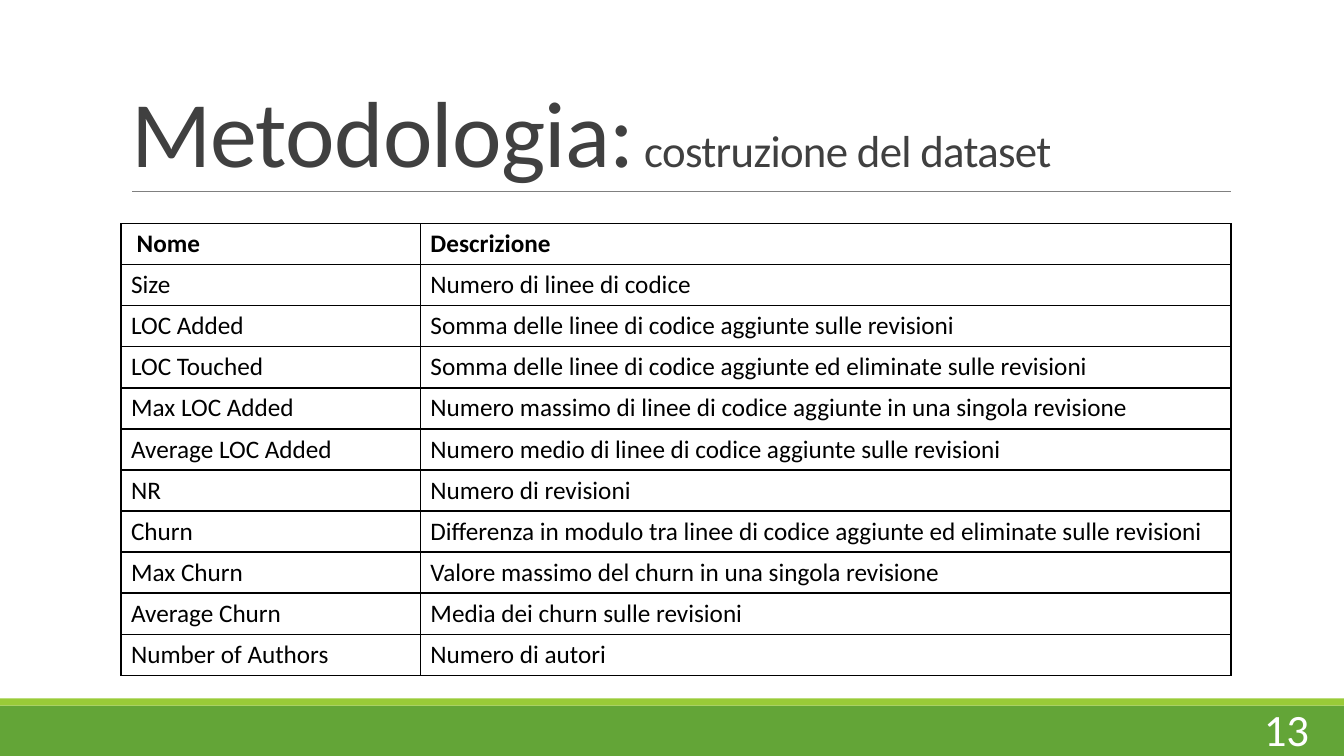
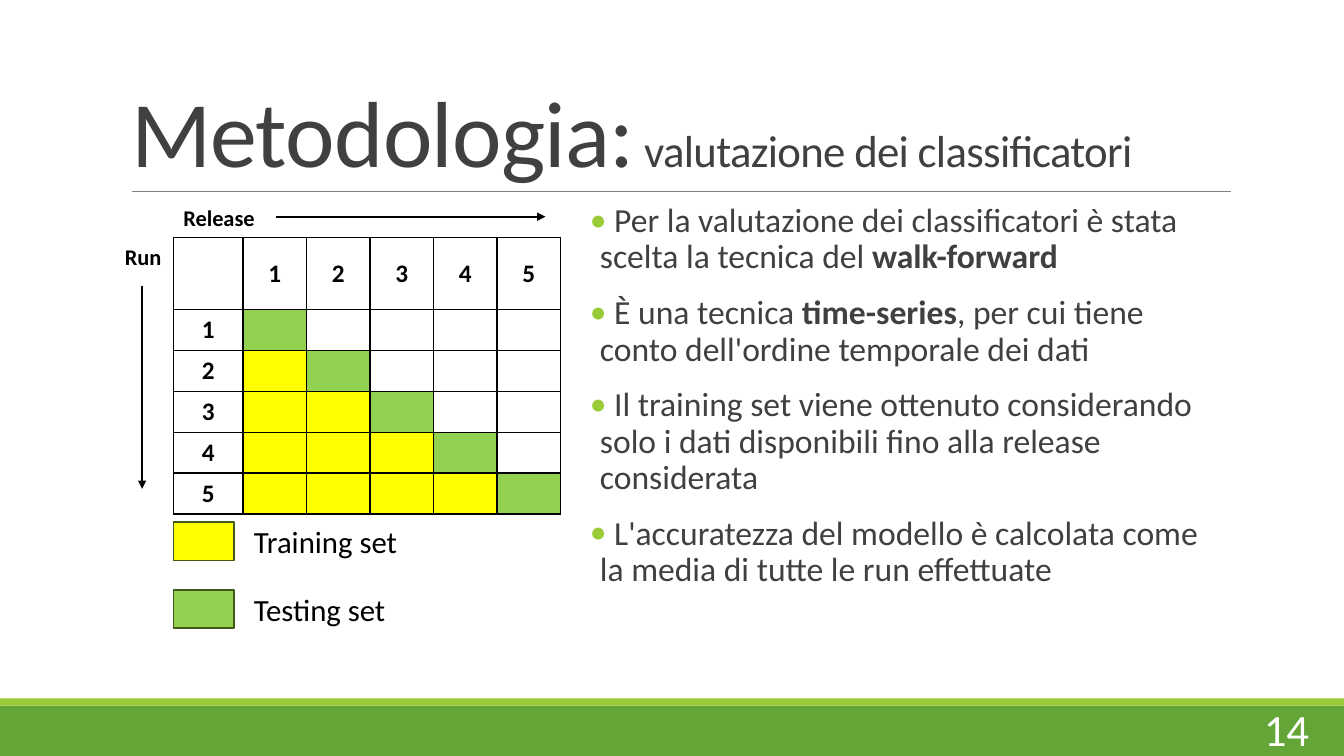
from dataclasses import dataclass

from lxml import etree
from pptx import Presentation
from pptx.dml.color import RGBColor
from pptx.enum.shapes import MSO_CONNECTOR, MSO_SHAPE
from pptx.enum.text import MSO_ANCHOR as Anchor, MSO_AUTO_SIZE, PP_ALIGN as Align
from pptx.oxml import parse_xml
from pptx.oxml.ns import nsdecls, qn
from pptx.util import Inches, Pt


@dataclass(frozen=True)
class Theme:
    font: str = "Calibri"
    band: str = "63A537"
    accent: str = "99CB38"
    rule: str = "808080"
    body: str = "404040"
    ink: str = "000000"
    paper: str = "FFFFFF"
    training: str = "FFFF00"
    testing: str = "92D050"
    swatch_edge: str = "435919"
    title_size: float = 67
    subtitle_size: float = 32
    bullet_size: float = 24
    legend_size: float = 22
    cell_size: float = 18
    axis_size: float = 16


@dataclass(frozen=True)
class Box:
    left: float
    top: float
    width: float
    height: float

    def inches(self):
        return tuple(Inches(v) for v in (self.left, self.top, self.width, self.height))


THEME = Theme()
SLIDE = Box(0, 0, 13.33, 7.5)
TITLE = Box(1.2, 0.31, 11, 1.59)
PAGE_NUMBER = Box(12.19, 6.94, 1.14, 0.57)
TITLE_ONLY, TITLE_AND_CONTENT = 5, 1

FEATURES = [
    (" Nome", "Descrizione"),
    ("Size", "Numero di linee di codice"),
    ("LOC Added", "Somma delle linee di codice aggiunte sulle revisioni"),
    ("LOC Touched", "Somma delle linee di codice aggiunte ed eliminate sulle revisioni"),
    ("Max LOC Added", "Numero massimo di linee di codice aggiunte in una singola revisione"),
    ("Average LOC Added", "Numero medio di linee di codice aggiunte sulle revisioni"),
    ("NR", "Numero di revisioni"),
    ("Churn", "Differenza in modulo tra linee di codice aggiunte ed eliminate sulle revisioni"),
    ("Max Churn", "Valore massimo del churn in una singola revisione"),
    ("Average Churn", "Media dei churn sulle revisioni"),
    ("Number of Authors", "Numero di autori"),
]

# Each point is a list of (text, bold) pieces.
WALK_FORWARD = [
    [(" Per la valutazione dei classificatori è stata scelta la tecnica del ", False),
     ("walk-forward", True)],
    [(" È una tecnica", False), (" time-series", True),
     (", per cui tiene conto dell'ordine temporale dei dati", False)],
    [(" Il training set viene ottenuto considerando solo i dati disponibili "
      "fino alla release considerata", False)],
    [(" L'accuratezza del modello è calcolata come la media di tutte le run effettuate", False)],
]


def rgb(color):
    return RGBColor.from_string(color)


def style_font(font, size, color, bold=None):
    font.name, font.size, font.bold = THEME.font, Pt(size), bold
    font.color.rgb = rgb(color)


def add_rect(slide, box, fill, edge=None):
    rect = slide.shapes.add_shape(MSO_SHAPE.RECTANGLE, *box.inches())
    rect.shadow.inherit = False
    rect.fill.solid()
    rect.fill.fore_color.rgb = rgb(fill)
    if edge:
        rect.line.color.rgb = rgb(edge)
        rect.line.width = Pt(1.25)
    else:
        rect.line.fill.background()
    return rect


def add_line(slide, start, end, color, width, arrow=False):
    points = [Inches(v) for v in (*start, *end)]
    line = slide.shapes.add_connector(MSO_CONNECTOR.STRAIGHT, *points)
    line.line.color.rgb = rgb(color)
    line.line.width = Pt(width)
    properties = line.element.spPr
    if arrow:
        etree.SubElement(properties.find(qn("a:ln")), qn("a:tailEnd"), type="triangle")
    etree.SubElement(properties, qn("a:effectLst"))
    return line


def add_label(slide, box, text, size, color=THEME.ink, bold=None, align=Align.LEFT):
    frame = slide.shapes.add_textbox(*box.inches()).text_frame
    frame.word_wrap = True
    frame.vertical_anchor = Anchor.MIDDLE
    paragraph = frame.paragraphs[0]
    paragraph.text, paragraph.alignment = text, align
    style_font(paragraph.font, size, color, bold)


def move_to_master(shapes, master):
    """Make the given shapes part of the master, behind its placeholders."""
    tree = master.shapes.element if hasattr(master.shapes, "element") else master.element.cSld.spTree
    for offset, shape in enumerate(shapes):
        tree.insert(2 + offset, shape.element)


def build_master(prs, slide):
    """Draw the bands and the title rule on the slide, then hand them to the master."""
    bands = [add_rect(slide, Box(0, 7, SLIDE.width, 0.5), THEME.band),
             add_rect(slide, Box(0, 6.93, SLIDE.width, 0.07), THEME.accent)]
    rule = add_line(slide, (1.31, 1.9), (12.21, 1.9), THEME.rule, 0.5)
    move_to_master([*bands, rule], prs.slide_master)


def place(placeholder, box):
    placeholder.left, placeholder.top, placeholder.width, placeholder.height = box.inches()
    frame = placeholder.text_frame
    frame.auto_size, frame.word_wrap = MSO_AUTO_SIZE.NONE, True
    return frame


def add_page(prs, layout, number, subtitle):
    slide = prs.slides.add_slide(prs.slide_layouts[layout])
    frame = place(slide.shapes.title, TITLE)
    frame.vertical_anchor = Anchor.BOTTOM
    heading = frame.paragraphs[0]
    heading.alignment, heading.line_spacing = Align.LEFT, 0.85
    for text, size in (("Metodologia:", THEME.title_size),
                       (f" {subtitle}", THEME.subtitle_size)):
        run = heading.add_run()
        run.text = text
        style_font(run.font, size, THEME.body)
        run.font._element.set("spc", "-50")
    add_label(slide, PAGE_NUMBER, str(number), THEME.subtitle_size, THEME.paper,
              align=Align.CENTER)
    return slide


def set_borders(cell):
    properties = cell._tc.get_or_add_tcPr()
    for position, side in enumerate(("lnL", "lnR", "lnT", "lnB")):
        properties.insert(position, parse_xml(
            f'<a:{side} {nsdecls("a")} w="12700"><a:solidFill>'
            f'<a:srgbClr val="{THEME.ink}"/></a:solidFill></a:{side}>'))


def add_grid(slide, box, widths, heights):
    """Add a plain table with unfilled cells and thin borders."""
    table = slide.shapes.add_table(len(heights), len(widths), *box.inches()).table
    table.first_row = table.horz_banding = False
    for column, width in zip(table.columns, widths):
        column.width = Inches(width)
    for row, height in zip(table.rows, heights):
        row.height = Inches(height)
    for cell in table.iter_cells():
        cell.fill.background()
        set_borders(cell)
    return table


def write_cell(cell, text, bold, align=Align.LEFT, anchor=Anchor.TOP):
    cell.vertical_anchor = anchor
    paragraph = cell.text_frame.paragraphs[0]
    paragraph.text, paragraph.alignment = text, align
    style_font(paragraph.font, THEME.cell_size, THEME.ink, bold)


def add_feature_table(slide, box):
    name_width = 2.97
    rows = len(FEATURES)
    table = add_grid(slide, box, [name_width, box.width - name_width],
                     [box.height / rows] * rows)
    for r, feature in enumerate(FEATURES):
        for c, text in enumerate(feature):
            write_cell(table.cell(r, c), text, bold=r == 0)


def add_run_matrix(slide, box, steps=5):
    """Runs against releases: train on the earlier releases, test on the latest."""
    run_width, header_height = 0.69, 0.71
    table = add_grid(slide, box,
                     [run_width] + [(box.width - run_width) / steps] * steps,
                     [header_height] + [(box.height - header_height) / steps] * steps)
    for run in range(1, steps + 1):
        for header in (table.cell(0, run), table.cell(run, 0)):
            write_cell(header, str(run), True, Align.CENTER, Anchor.MIDDLE)
        for release in range(1, run + 1):
            fill = table.cell(run, release).fill
            fill.solid()
            fill.fore_color.rgb = rgb(THEME.testing if release == run else THEME.training)


def add_axes(slide, box):
    """Label the matrix in the box with an arrow above and one on its left."""
    add_label(slide, Box(box.left, box.top - 0.39, 1.03, 0.37), "Release",
              THEME.axis_size, bold=True)
    add_label(slide, Box(box.left - 0.58, box.top, 0.58, 0.37), "Run",
              THEME.axis_size, bold=True)
    above, beside = box.top - 0.21, box.left - 0.31
    add_line(slide, (box.left + 1.02, above), (box.left + 3.69, above),
             THEME.ink, 1.25, arrow=True)
    add_line(slide, (beside, box.top + 0.48), (beside, box.top + 2.49),
             THEME.ink, 1.25, arrow=True)


def add_legend(slide, box):
    swatch_width, swatch_height, label_height = 0.6, 0.38, 0.47
    entries = (("Training set", THEME.training), ("Testing set", THEME.testing))
    pitch = (box.height - swatch_height) / (len(entries) - 1)
    for i, (text, color) in enumerate(entries):
        top = box.top + i * pitch
        add_rect(slide, Box(box.left, top, swatch_width, swatch_height), color,
                 THEME.swatch_edge)
        add_label(slide, Box(box.left + 0.7, top - (label_height - swatch_height) / 2,
                             box.width - 0.7, label_height), text, THEME.legend_size)


def set_bullet(paragraph):
    properties = paragraph._p.get_or_add_pPr()
    properties.set("marL", str(Inches(0.1)))
    properties.set("indent", str(-Inches(0.1)))
    color = etree.SubElement(properties, qn("a:buClr"))
    etree.SubElement(color, qn("a:srgbClr"), val=THEME.accent)
    etree.SubElement(properties, qn("a:buFont"), typeface=THEME.font)
    etree.SubElement(properties, qn("a:buChar"), char="•")


def fill_bullets(placeholder, box, points):
    frame = place(placeholder, box)
    frame.margin_left = frame.margin_right = 0
    for i, pieces in enumerate(points):
        paragraph = frame.add_paragraph() if i else frame.paragraphs[0]
        set_bullet(paragraph)
        paragraph.line_spacing = 0.9
        paragraph.space_before, paragraph.space_after = Pt(12 if i else 0), Pt(2)
        style_font(paragraph.font, THEME.bullet_size, THEME.body)
        for text, bold in pieces:
            run = paragraph.add_run()
            run.text = text
            if bold:
                run.font.bold = True


def main():
    prs = Presentation()
    prs.slide_width, prs.slide_height = Inches(SLIDE.width), Inches(SLIDE.height)

    dataset = add_page(prs, TITLE_ONLY, 13, "costruzione del dataset")
    build_master(prs, dataset)
    add_feature_table(dataset, Box(1.2, 2.22, 11.01, 4.48))

    evaluation = add_page(prs, TITLE_AND_CONTENT, 14, "valutazione dei classificatori")
    fill_bullets(evaluation.placeholders[1], Box(5.85, 1.97, 6.27, 4.43), WALK_FORWARD)
    matrix = Box(1.72, 2.36, 3.84, 2.74)
    add_run_matrix(evaluation, matrix)
    add_axes(evaluation, matrix)
    add_legend(evaluation, Box(matrix.left, 5.18, 2.53, 1.05))

    prs.save("out.pptx")


if __name__ == "__main__":
    main()
